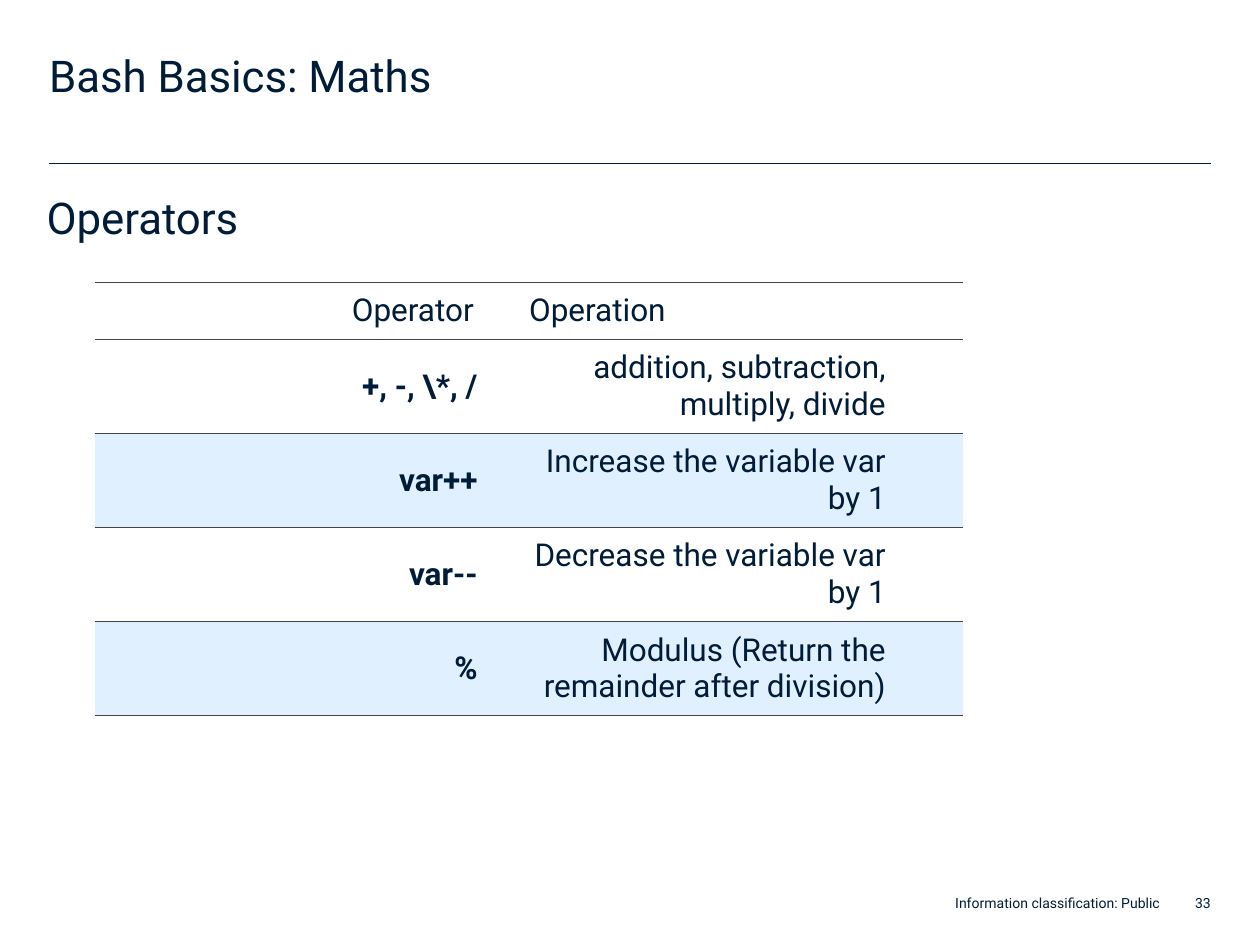
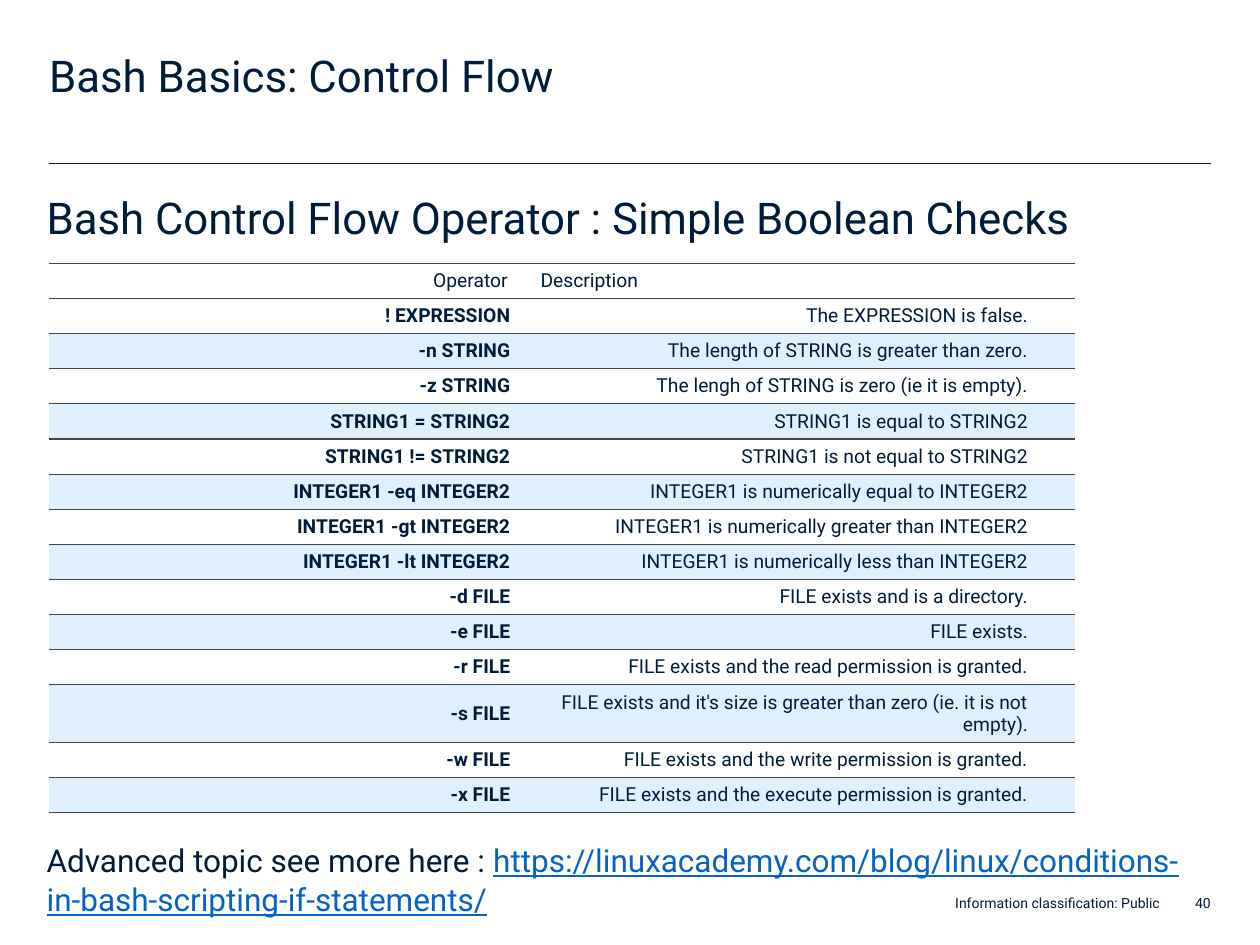
from pptx import Presentation
from pptx.dml.color import RGBColor as RGB
from pptx.enum.shapes import MSO_CONNECTOR as CONN
from pptx.enum.text import MSO_ANCHOR as ANCHOR, MSO_AUTO_SIZE as AUTO, PP_ALIGN as ALIGN
from pptx.oxml.ns import qn
from pptx.util import Inches, Pt
from lxml.etree import SubElement

COLORS = {
    "ink": "001C39",
    "white": "FFFFFF",
    "band": "E1F0FF",
    "border": "444444",
    "link": "0563C1",
}
FONT = "Roboto"
MARGIN, RIGHT = 0.39, 9.61

MATHS_ROWS = [
    ("Operator", "Operation"),
    ("+, -, \\*, /", "addition, subtraction, multiply, divide"),
    ("var++", "Increase the variable var by 1"),
    ("var--", "Decrease the variable var by 1"),
    ("%", "Modulus (Return the remainder after division)"),
]
CHECK_ROWS = [
    ("Operator", "Description"),
    ("! EXPRESSION", "The EXPRESSION is false."),
    ("-n STRING", "The length of STRING is greater than zero."),
    ("-z STRING", "The lengh of STRING is zero (ie it is empty)."),
    ("STRING1 = STRING2", "STRING1 is equal to STRING2"),
    ("STRING1 != STRING2", "STRING1 is not equal to STRING2"),
    ("INTEGER1 -eq INTEGER2", "INTEGER1 is numerically equal to INTEGER2"),
    ("INTEGER1 -gt INTEGER2", "INTEGER1 is numerically greater than INTEGER2"),
    ("INTEGER1 -lt INTEGER2", "INTEGER1 is numerically less than INTEGER2"),
    ("-d FILE", "FILE exists and is a directory."),
    ("-e FILE", "FILE exists."),
    ("-r FILE", "FILE exists and the read permission is granted."),
    ("-s FILE", "FILE exists and it's size is greater than zero (ie. it is not empty)."),
    ("-w FILE", "FILE exists and the write permission is granted."),
    ("-x FILE", "FILE exists and the execute permission is granted."),
]
CONDITIONS_URL = "https://linuxacademy.com/blog/linux/conditions-in-bash-scripting-if-statements/"


def color(name):
    return RGB.from_string(COLORS[name])


def write(p, text, size=25, ink="ink", bold=False, underline=False, align=ALIGN.LEFT):
    p.alignment = align
    r = p.add_run()
    r.text = text
    r.font.name = FONT
    r.font.size = Pt(size)
    r.font.bold = bold
    r.font.underline = underline
    r.font.color.rgb = color(ink)


def set_frame(tf, anchor=ANCHOR.TOP):
    tf.word_wrap = True
    tf.auto_size = AUTO.NONE
    tf.vertical_anchor = anchor
    tf.margin_left = tf.margin_top = tf.margin_right = tf.margin_bottom = 0


def place(sp, left, top, width, height):
    sp.left, sp.top = Inches(left), Inches(top)
    sp.width, sp.height = Inches(width), Inches(height)
    set_frame(sp.text_frame)
    return sp.text_frame


def add_body_paragraph(p, before=0):
    pPr = p._p.get_or_add_pPr()
    pPr.set("marL", "0")
    pPr.set("indent", "0")
    p.line_spacing = 1.03
    p.space_before = Pt(before)
    p.space_after = Pt(11.3)
    SubElement(pPr, qn("a:buNone"))
    return p


def add_footer_text(s, text, left, width):
    tf = s.shapes.add_textbox(Inches(left), Inches(7.07), Inches(width), Inches(0.16)).text_frame
    set_frame(tf, ANCHOR.BOTTOM)
    write(tf.paragraphs[0], text, size=8, align=ALIGN.RIGHT)


def add_rule(s):
    rule = s.shapes.add_connector(
        CONN.STRAIGHT, Inches(MARGIN), Inches(1.3), Inches(RIGHT), Inches(1.3))
    rule.line.color.rgb = color("ink")
    rule.line.width = Pt(0.75)
    SubElement(rule._element.spPr, qn("a:effectLst"))


def add_content_slide(prs, title, heading, number):
    s = prs.slides.add_slide(prs.slide_layouts[1])
    add_rule(s)
    p = place(s.shapes.title, MARGIN, 0.39, 8.32, 0.87).paragraphs[0]
    p.line_spacing = Pt(30)
    p.space_after = Pt(11.3)
    write(p, title)
    body = place(s.placeholders[1], 0.37, 1.5, 9.24, 5)
    write(add_body_paragraph(body.paragraphs[0]), heading)
    add_footer_text(s, "Information classification: Public", 5.83, 3.38)
    add_footer_text(s, str(number), 9.37, 0.24)
    return s, body


def set_borders(cell):
    tcPr = cell._tc.get_or_add_tcPr()
    for side in ("lnL", "lnR"):
        SubElement(SubElement(tcPr, qn(f"a:{side}"), w="0"), qn("a:noFill"))
    for side in ("lnT", "lnB"):
        ln = SubElement(tcPr, qn(f"a:{side}"), w=str(Pt(0.75)))
        SubElement(SubElement(ln, qn("a:solidFill")), qn("a:srgbClr"), val=COLORS["border"])


def add_operator_table(s, rows, left, top, widths, heights, size, outer, inner, gaps, pad):
    header_gap, body_gap = gaps
    table = s.shapes.add_table(
        len(rows), 2, Inches(left), Inches(top),
        Inches(sum(widths)), Inches(sum(heights))).table
    table.first_row = table.horz_banding = False
    for column, width in zip(table.columns, widths):
        column.width = Inches(width)
    for i, (row, height) in enumerate(zip(rows, heights)):
        table.rows[i].height = Inches(height)
        for j, text in enumerate(row):
            cell = table.cell(i, j)
            set_borders(cell)
            cell.fill.solid()
            cell.fill.fore_color.rgb = color("band" if i and i % 2 == 0 else "white")
            cell.vertical_anchor = ANCHOR.MIDDLE
            cell.margin_left = Inches(inner if j else outer)
            cell.margin_right = Inches(outer if j else body_gap if i else header_gap)
            cell.margin_top = cell.margin_bottom = Inches(pad)
            write(cell.text_frame.paragraphs[0], text, size=size, bold=i > 0 and j == 0,
                  align=ALIGN.LEFT if i == 0 and j == 1 else ALIGN.RIGHT)


def main():
    prs = Presentation()
    prs.slide_width, prs.slide_height = Inches(10), Inches(7.5)

    s, body = add_content_slide(prs, "Bash Basics: Maths", "Operators", 33)
    add_operator_table(s, MATHS_ROWS, 0.75, 2.24, (3.16, 3.73), [0.45] + [0.74] * 4,
                       size=18, outer=0.61, inner=0.29, gaps=(0.15, 0.12), pad=0.08)

    s, body = add_content_slide(prs, "Bash Basics: Control Flow",
                                "Bash Control Flow Operator : Simple Boolean Checks", 40)
    p = add_body_paragraph(body.add_paragraph(), before=330)
    write(p, "Advanced topic see more here : ", size=18)
    write(p, CONDITIONS_URL, size=18, ink="link", underline=True)
    heights = [0.45 if row[0] == "-s FILE" else 0.27 for row in CHECK_ROWS]
    add_operator_table(s, CHECK_ROWS, MARGIN, 2.09, (3.73, 4.41), heights,
                       size=11, outer=0.37, inner=0.17, gaps=(0.09, 0.07), pad=0.05)

    prs.save("out.pptx")


if __name__ == "__main__":
    main()
